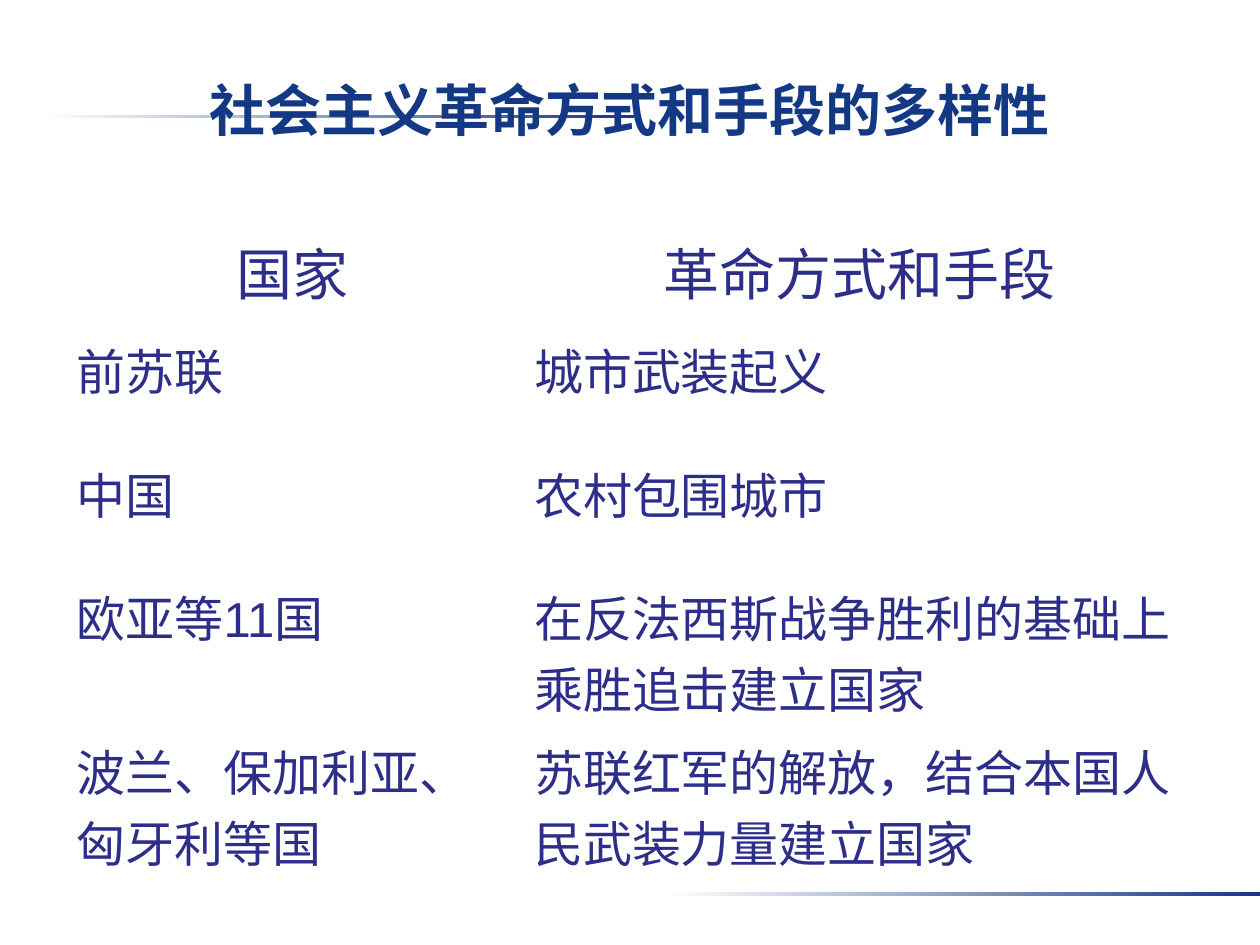
from lxml.etree import SubElement
from pptx import Presentation
from pptx.dml.color import RGBColor
from pptx.enum.shapes import MSO_SHAPE
from pptx.enum.text import MSO_ANCHOR, PP_ALIGN
from pptx.oxml.ns import qn
from pptx.util import Inches, Pt

# Content
TITLE = "社会主义革命方式和手段的多样性"
ROWS = [
    ("国家", "革命方式和手段"),
    ("前苏联", "城市武装起义"),
    ("中国", "农村包围城市"),
    ("欧亚等11国", "在反法西斯战争胜利的基础上乘胜追击建立国家"),
    ("波兰、保加利亚、匈牙利等国", "苏联红军的解放，结合本国人民武装力量建立国家"),
]

# Layout and style
COL_WIDTHS = [3.63, 5.37]
ROW_HEIGHTS = [0.82, 0.98, 0.98, 1.03, 1.03]
BARS = [(0.31, 0.91), (5.28, 7.08)]
CJK = "Noto Sans CJK SC"
NAVY = RGBColor(0x13, 0x39, 0x84)
INDIGO = RGBColor(0x2D, 0x2D, 0x8A)
WHITE = RGBColor(0xFF, 0xFF, 0xFF)
OUTER, INNER = 1.08, 0.45


def style(p, size, color, latin, align, bold=False):
    p.alignment = align
    font = p.font
    font.size, font.bold, font.name = Pt(size), bold, latin
    font.color.rgb = color
    SubElement(p._p.pPr.find(qn("a:defRPr")), qn("a:ea"), typeface=CJK)


def set_borders(cell, widths):
    tcPr = cell._tc.get_or_add_tcPr()
    for side, width in zip("LRTB", widths):
        ln = SubElement(tcPr, qn(f"a:ln{side}"), w=str(Pt(width)))
        fill = SubElement(ln, qn("a:solidFill"))
        SubElement(fill, qn("a:srgbClr"), val=str(WHITE))


prs = Presentation()
prs.slide_width, prs.slide_height = Inches(10), Inches(7.5)
s = prs.slides.add_slide(prs.slide_layouts[5])

# Gradient bars
for left, top in BARS:
    bar = s.shapes.add_shape(MSO_SHAPE.RECTANGLE, Inches(left), Inches(top),
                             Inches(4.72), Inches(0.03))
    bar.shadow.inherit = False
    bar.line.fill.background()
    bar.fill.gradient()
    bar.fill.gradient_angle = 0
    for stop, color in zip(bar.fill.gradient_stops, (WHITE, NAVY)):
        stop.color.rgb = color

# Title, in front of the bars
title = s.shapes.title
s.shapes.element.append(title.element)
title.left, title.top = Inches(0.33), Inches(0.6)
title.width, title.height = Inches(9.34), Inches(1.25)
tf = title.text_frame
tf.text = TITLE
tf.vertical_anchor = MSO_ANCHOR.TOP
tf.margin_top = Inches(0.06)
p = tf.paragraphs[0]
p.line_spacing = 0.9
style(p, 32, NAVY, CJK, PP_ALIGN.CENTER, bold=True)

# Table
n_rows, n_cols = len(ROWS), len(COL_WIDTHS)
table = s.shapes.add_table(n_rows, n_cols, Inches(0.51), Inches(1.78),
                           Inches(sum(COL_WIDTHS)), Inches(sum(ROW_HEIGHTS))).table
table.first_row = table.horz_banding = False
for column, width in zip(table.columns, COL_WIDTHS):
    column.width = Inches(width)
for i, (texts, height) in enumerate(zip(ROWS, ROW_HEIGHTS)):
    table.rows[i].height = Inches(height)
    size, align = (32, PP_ALIGN.CENTER) if i == 0 else (28, PP_ALIGN.LEFT)
    for j, text in enumerate(texts):
        cell = table.cell(i, j)
        cell.text = text
        style(cell.text_frame.paragraphs[0], size, INDIGO, "Arial", align)
        on_edge = (j == 0, j == n_cols - 1, i == 0, i == n_rows - 1)
        set_borders(cell, [OUTER if edge else INNER for edge in on_edge])
        cell.fill.background()

prs.save("out.pptx")
